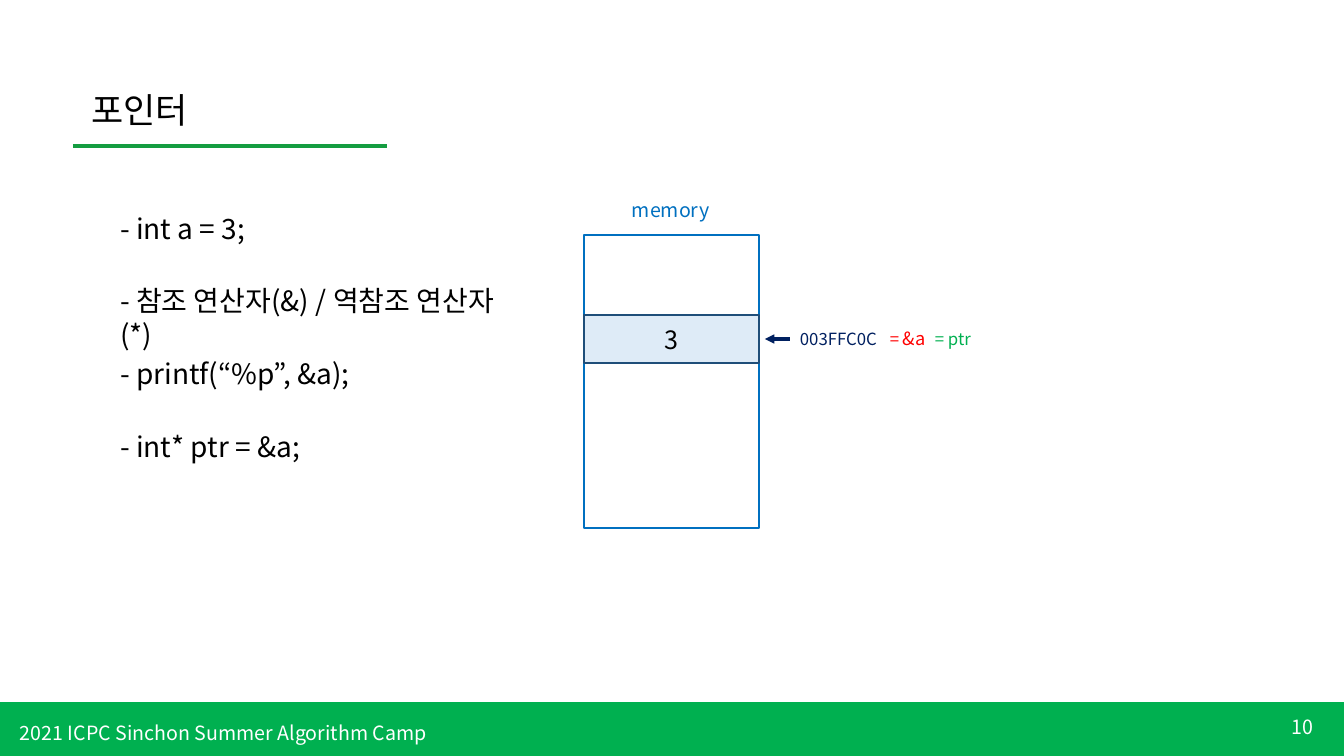
from dataclasses import dataclass

from lxml.etree import SubElement
from pptx import Presentation
from pptx.dml.color import RGBColor
from pptx.enum.shapes import MSO_CONNECTOR, MSO_SHAPE
from pptx.enum.text import MSO_ANCHOR, MSO_AUTO_SIZE, PP_ALIGN
from pptx.oxml.ns import qn
from pptx.util import Emu, Pt

EMU_PER_PX = 914400 / 100.8
SLIDE_W, SLIDE_H = 1344, 756


@dataclass(frozen=True)
class Theme:
    font: str = "Noto Sans CJK KR"
    line_ratio: float = 1.2
    title: int = 25
    body: int = 20
    value: int = 18
    label: int = 14
    reference: int = 13
    address: int = 12
    thin: float = 1
    thick: float = 2.25
    black: str = "000000"
    white: str = "FFFFFF"
    green: str = "00B050"
    rule: str = "159D41"
    blue: str = "0070C0"
    pale: str = "DEEBF7"
    cell_edge: str = "1F4E79"
    navy: str = "002060"
    red: str = "FF0000"


THEME = Theme()


def px(*lengths):
    return [Emu(round(length * EMU_PER_PX)) for length in lengths]


def rgb(color):
    return RGBColor.from_string(color)


def apply(target, formats):
    for name, value in formats.items():
        setattr(target, name, value)


def write(paragraph, runs, align=PP_ALIGN.LEFT, space_before=0):
    """Fill a paragraph with (text, size, colour) runs."""
    tallest = max(size for _, size, _ in runs)
    apply(paragraph, {
        "alignment": align,
        "line_spacing": Pt(tallest * THEME.line_ratio),
        "space_before": Pt(space_before),
        "space_after": Pt(0),
    })
    for text, size, color in runs:
        run = paragraph.add_run()
        run.text = text
        apply(run.font, {"name": THEME.font, "size": Pt(size)})
        run.font.color.rgb = rgb(color)
        SubElement(run.font._element, qn("a:ea"), typeface=THEME.font)


def set_frame(frame, anchor=MSO_ANCHOR.TOP):
    apply(frame, {"word_wrap": True, "auto_size": MSO_AUTO_SIZE.NONE,
                  "vertical_anchor": anchor})


def add_label(slide, box, runs, align=PP_ALIGN.LEFT, anchor=MSO_ANCHOR.TOP):
    label = slide.shapes.add_textbox(*px(*box))
    set_frame(label.text_frame, anchor)
    write(label.text_frame.paragraphs[0], runs, align)
    return label


def add_box(slide, box, edge, fill=None):
    rectangle = slide.shapes.add_shape(MSO_SHAPE.RECTANGLE, *px(*box))
    rectangle.shadow.inherit = False
    if fill:
        rectangle.fill.solid()
        rectangle.fill.fore_color.rgb = rgb(fill)
    else:
        rectangle.fill.background()
    rectangle.line.color.rgb = rgb(edge)
    rectangle.line.width = Pt(THEME.thin)
    return rectangle


def add_line(slide, ends, color, arrow=False):
    line = slide.shapes.add_connector(MSO_CONNECTOR.STRAIGHT, *px(*ends))
    line.line.color.rgb = rgb(color)
    line.line.width = Pt(THEME.thick)
    if arrow:
        SubElement(line.line._get_or_add_ln(), qn("a:tailEnd"), type="triangle")
    SubElement(line._element.spPr, qn("a:effectLst"))
    return line


def place(placeholder, box):
    apply(placeholder, dict(zip(("left", "top", "width", "height"), px(*box))))
    set_frame(placeholder.text_frame)
    return placeholder.text_frame


def add_footer(slide, box, text, number):
    left, top, width, height = box
    add_box(slide, box, THEME.green, THEME.green)
    add_label(slide, (left + width - 122, top + 4, 101, 40),
              [(number, THEME.label, THEME.white)], PP_ALIGN.RIGHT, MSO_ANCHOR.MIDDLE)
    add_label(slide, (left + 10, top + 13, 581, 34),
              [(text, THEME.label, THEME.white)])


def add_heading(slide, box, text):
    left, top, width, height = box
    frame = place(slide.shapes.title, box)
    write(frame.paragraphs[0], [(text, THEME.title, THEME.black)])
    underline = top + height + 11
    add_line(slide, (left - 8, underline, left + 306, underline), THEME.rule)


def add_statements(slide, box, statements):
    """Fill the body with (text, space before in points) items."""
    frame = place(slide.placeholders[1], box)
    for index, (text, gap) in enumerate(statements):
        paragraph = frame.add_paragraph() if index else frame.paragraphs[0]
        properties = paragraph._p.get_or_add_pPr()
        apply_indent = {"marL": "0", "indent": "0"}
        for name, value in apply_indent.items():
            properties.set(name, value)
        SubElement(properties, qn("a:buNone"))
        write(paragraph, [(text, THEME.body, THEME.black)], space_before=gap)


def add_memory(slide, box):
    left, top, width, height = box
    add_box(slide, box, THEME.blue)
    add_label(slide, (left + 38, top - 42, 102, 34),
              [("memory", THEME.label, THEME.blue)])
    cell = add_box(slide, (left, top + 80, width, 48), THEME.cell_edge, THEME.pale)
    set_frame(cell.text_frame, MSO_ANCHOR.MIDDLE)
    write(cell.text_frame.paragraphs[0],
          [("3", THEME.value, THEME.black)], PP_ALIGN.CENTER)

    right, middle = left + width, top + 104
    address = add_label(slide, (right + 31, middle - 15, 104, 30),
                        [("003FFC0C", THEME.address, THEME.navy)])
    arrow = add_line(slide, (right + 31, middle, right + 6, middle), THEME.navy, True)
    arrow.begin_connect(address, 1)
    add_label(slide, (right + 121, middle - 17, 58, 32),
              [("= ", THEME.address, THEME.red), ("&a", THEME.reference, THEME.red)])
    add_label(slide, (right + 166, middle - 15, 68, 30),
              [("= ptr", THEME.address, THEME.green)])


def main():
    prs = Presentation()
    prs.slide_width, prs.slide_height = px(SLIDE_W, SLIDE_H)
    slide = prs.slides.add_slide(prs.slide_layouts[1])
    add_footer(slide, (0, 703, SLIDE_W, 53),
               "2021 ICPC Sinchon Summer Algorithm Camp", "10")
    add_heading(slide, (81, 83, 314, 52), "포인터")
    add_statements(slide, (110, 206, 422, 264), [
        ("- int a = 3;", 0),
        ("- 참조 연산자(&) / 역참조 연산자(*)", 28),
        ("- printf(“%p”, &a);", 4),
        ("- int* ptr = &a;", 28),
    ])
    add_memory(slide, (584, 235, 175, 293))
    prs.save("out.pptx")


if __name__ == "__main__":
    main()
